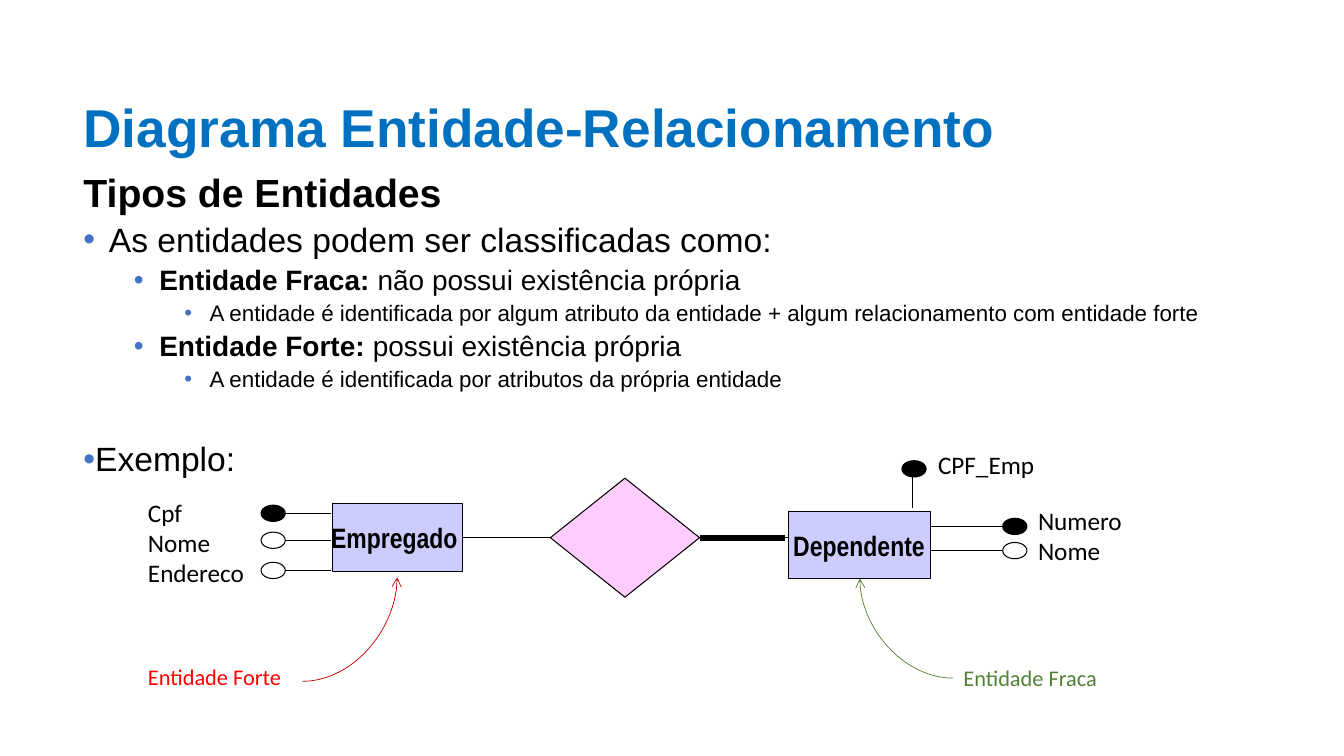
from dataclasses import dataclass
from typing import Any

from lxml.etree import SubElement
from pptx import Presentation
from pptx.dml.color import RGBColor
from pptx.enum.shapes import MSO_CONNECTOR, MSO_SHAPE
from pptx.enum.text import MSO_ANCHOR, MSO_AUTO_SIZE, PP_ALIGN
from pptx.oxml.ns import qn
from pptx.util import Cm, Pt

BLACK, RED, GREEN = "000000", "FF0000", "548235"
ENTITY_FILL, RELATION_FILL, BULLET = "CCCCFF", "FFCCFF", "4472C4"
Point = tuple[float, float]
Box = tuple[float, float, float, float]


@dataclass
class ListItem:
    text: str
    size: int
    level: int = 0
    lead: str = ""
    bold: bool = False
    bullet: bool = True
    hang: float = 0.64
    before: float | None = None


@dataclass
class Attribute:
    spot: Point
    key: bool
    start: Point
    end: Point
    weight: float = 0.75


@dataclass
class Label:
    lines: tuple[str, ...]
    box: Box
    size: int = 18
    color: str = BLACK


ITEMS = [
    ListItem("Tipos de Entidades", 28, bold=True, bullet=False, hang=0, before=0),
    ListItem("As entidades podem ser classificadas como:", 24),
    ListItem("não possui existência própria", 20, 1, "Entidade Fraca: "),
    ListItem("A entidade é identificada por algum atributo da entidade"
             " + algum relacionamento com entidade forte", 16, 2),
    ListItem("possui existência própria", 20, 1, "Entidade Forte: "),
    ListItem("A entidade é identificada por atributos da própria entidade", 16, 2),
    ListItem("Exemplo:", 24, hang=0, before=36),
]
ATTRIBUTES = [
    Attribute((6.58, 12.73), True, (7.19, 12.93), (8.33, 12.93)),
    Attribute((6.58, 13.41), False, (7.19, 13.61), (8.33, 13.61)),
    Attribute((6.58, 14.17), False, (7.19, 14.38), (8.33, 14.38)),
    Attribute((25.27, 13.06), True, (25.27, 13.26), (23.47, 13.26)),
    Attribute((25.27, 13.67), False, (25.27, 13.87), (23.47, 13.87)),
    Attribute((22.73, 11.61), True, (22.99, 12.01), (22.99, 12.8), 0.5),
]
LABELS = [
    Label(("Cpf", "Nome", "Endereco"), (3.48, 12.4, 3.23, 3.3)),
    Label(("Numero", "Nome"), (25.91, 12.6, 2.77, 1.78)),
    Label(("CPF_Emp",), (23.39, 11.2, 4.19, 1.27)),
    Label(("Entidade Forte",), (3.48, 16.59, 4.14, 0.94), 16, RED),
    Label(("Entidade Fraca",), (24.03, 16.61, 4.14, 0.94), 16, GREEN),
]


def paint(target: Any, color: str) -> None:
    """Give a fill a solid colour."""
    target.solid()
    target.fore_color.rgb = RGBColor.from_string(color)


def write(paragraph: Any, text: str, *, size: int, color: str = BLACK,
          font: str = "Arial", bold: bool = False) -> None:
    run = paragraph.add_run()
    run.text = text
    run.font.size, run.font.name, run.font.bold = Pt(size), font, bold
    paint(run.font.fill, color)


def place(shape: Any, box: Box) -> None:
    shape.left, shape.top, shape.width, shape.height = map(Cm, box)
    frame = shape.text_frame
    frame.auto_size, frame.word_wrap = MSO_AUTO_SIZE.NONE, True
    frame.vertical_anchor = MSO_ANCHOR.TOP


def set_bullet(paragraph: Any, item: ListItem) -> None:
    properties = paragraph._p.get_or_add_pPr()
    properties.set("marL", str(Cm(1.27 * item.level + item.hang)))
    properties.set("indent", str(-Cm(item.hang)))
    if not item.bullet:
        SubElement(properties, qn("a:buNone"))
        return
    color = SubElement(properties, qn("a:buClr"))
    SubElement(color, qn("a:srgbClr"), val=BULLET)
    SubElement(properties, qn("a:buFont"), typeface="Arial")
    SubElement(properties, qn("a:buChar"), char="•")


def add_item(paragraph: Any, item: ListItem) -> None:
    paragraph.level = item.level
    paragraph.alignment = PP_ALIGN.JUSTIFY if item.bullet else PP_ALIGN.LEFT
    paragraph.line_spacing = 0.9 if item.bullet else 1.0
    paragraph.space_before = Pt(0.24 * item.size if item.before is None else item.before)
    paragraph.space_after = Pt(0)
    set_bullet(paragraph, item)
    if item.lead:
        write(paragraph, item.lead, size=item.size, bold=True)
    write(paragraph, item.text, size=item.size, bold=item.bold)


def add_figure(slide: Any, kind: MSO_SHAPE, box: Box, fill: str | None) -> Any:
    figure = slide.shapes.add_shape(kind, *map(Cm, box))
    figure.shadow.inherit = False
    if fill:
        paint(figure.fill, fill)
    else:
        figure.fill.background()
    paint(figure.line.fill, BLACK)
    figure.line.width = Pt(0.75)
    return figure


def add_entity(slide: Any, name: str, box: Box) -> Any:
    entity = add_figure(slide, MSO_SHAPE.RECTANGLE, box, ENTITY_FILL)
    frame = entity.text_frame
    frame.word_wrap, frame.vertical_anchor = False, MSO_ANCHOR.MIDDLE
    frame.paragraphs[0].alignment = PP_ALIGN.CENTER
    write(frame.paragraphs[0], name, size=20, font="Arial Narrow", bold=True)
    return entity


def add_line(slide: Any, start: Point, end: Point, weight: float = 0.75,
             color: str = BLACK, curved_arrow: bool = False) -> Any:
    kind = MSO_CONNECTOR.CURVE if curved_arrow else MSO_CONNECTOR.STRAIGHT
    line = slide.shapes.add_connector(kind, *map(Cm, start + end))
    paint(line.line.fill, color)
    line.line.width = Pt(weight)
    properties = line._element.spPr
    if curved_arrow:
        properties.find(qn("a:prstGeom")).set("prst", "curvedConnector2")
        SubElement(properties.find(qn("a:ln")), qn("a:tailEnd"), type="arrow")
    SubElement(properties, qn("a:effectLst"))
    return line


def main() -> None:
    deck = Presentation()
    deck.slide_width, deck.slide_height = Cm(33.87), Cm(19.05)
    slide = deck.slides.add_slide(deck.slide_layouts[1])

    # Title and list
    title, body = slide.placeholders
    place(title, (1.85, 2.24, 29.21, 1.85))
    heading = title.text_frame.paragraphs[0]
    heading.alignment = PP_ALIGN.LEFT
    write(heading, "Diagrama Entidade-Relacionamento", size=38, color="0070C0", bold=True)
    place(body, (1.85, 4.11, 29.21, 14.3))
    for index, item in enumerate(ITEMS):
        frame = body.text_frame
        add_item(frame.add_paragraph() if index else frame.paragraphs[0], item)

    # Entities and their relationship
    axis = 13.55
    employee = add_entity(slide, "Empregado ", (8.38, axis - 0.85, 3.28, 1.7))
    add_entity(slide, "Dependente", (19.86, 12.88, 3.58, 1.7))
    relation = add_figure(slide, MSO_SHAPE.FLOWCHART_DECISION,
                          (13.87, axis - 1.5, 3.76, 3), RELATION_FILL)
    link = add_line(slide, (11.66, axis), (13.87, axis))
    link.begin_connect(employee, 3)
    link.end_connect(relation, 1)
    for end, weight in ((19.86, 0.75), (19.79, 4.5)):
        add_line(slide, (17.63, axis), (end, axis), weight).begin_connect(relation, 3)

    # Attributes, filled when they are keys
    for attribute in ATTRIBUTES:
        add_line(slide, attribute.start, attribute.end, attribute.weight)
        add_figure(slide, MSO_SHAPE.OVAL, (*attribute.spot, 0.61, 0.41),
                   BLACK if attribute.key else None)

    # Labels
    for label in LABELS:
        caption = slide.shapes.add_textbox(*map(Cm, label.box))
        place(caption, label.box)
        for index, text in enumerate(label.lines):
            frame = caption.text_frame
            write(frame.add_paragraph() if index else frame.paragraphs[0], text,
                  size=label.size, color=label.color, font="Calibri")

    # Arrows from the captions to the entities
    add_line(slide, (7.62, 17.17), (10.01, 14.55), 0.5, "C00000", curved_arrow=True)
    add_line(slide, (24.03, 17.09), (21.67, 14.58), 0.5, GREEN, curved_arrow=True)

    deck.save("out.pptx")


if __name__ == "__main__":
    main()
